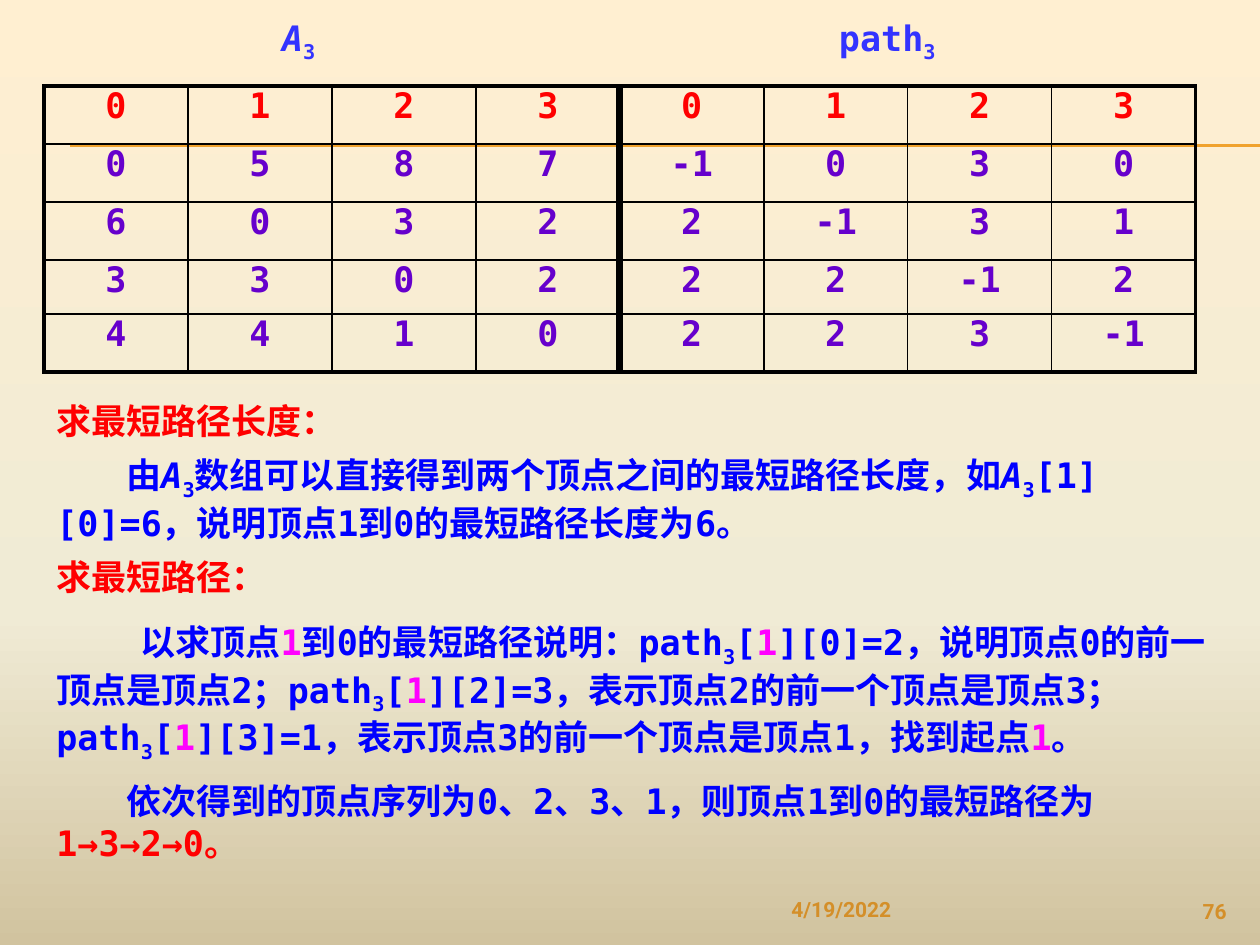
from copy import deepcopy

from lxml import etree
from pptx import Presentation
from pptx.dml.color import RGBColor
from pptx.enum.shapes import MSO_CONNECTOR
from pptx.enum.text import PP_ALIGN
from pptx.oxml.ns import qn
from pptx.util import Pt

STRAIGHT = MSO_CONNECTOR.STRAIGHT
LEFT, CENTER, RIGHT = PP_ALIGN.LEFT, PP_ALIGN.CENTER, PP_ALIGN.RIGHT
PX = 914400 // 126
MONO, FOOTER_FONT = "DejaVu Sans Mono", "Roboto"
RED, BLUE, PINK, PURPLE = "FF0000", "0000FF", "FF00FF", "6600CC"
HEADING, GOLD, AMBER, BLACK = "3333FF", "F0A22E", "D48F29", "000000"
THIN, FRAME, DIVIDER = 1, 2.25, 4.5


def rgb(value):
    return RGBColor.from_string(value)


class Board:
    """Draws styled elements on one slide, with lengths in px."""

    def __init__(self, slide):
        self.slide = slide

    def background(self, stops):
        fill = self.slide.background.fill
        fill.gradient()
        fill.gradient_angle = 270
        stop_list = self.slide.element.find(".//" + qn("a:gsLst"))
        while len(stop_list) < len(stops):
            stop_list.append(deepcopy(stop_list[0]))
        for stop, (position, color) in zip(fill.gradient_stops, stops):
            stop.position = position
            stop.color.rgb = rgb(color)

    def line(self, x1, y1, x2, y2, color, width):
        rule = self.slide.shapes.add_connector(
            STRAIGHT, *(v * PX for v in (x1, y1, x2, y2)))
        rule.line.color.rgb = rgb(color)
        rule.line.width = Pt(width)
        etree.SubElement(rule.element.spPr, qn("a:effectLst"))

    def style(self, paragraph, size=20, font=MONO, align=LEFT):
        paragraph.alignment = align
        paragraph.font.name = font
        paragraph.font.size = Pt(size)
        paragraph.font.bold = True

    def add_runs(self, paragraph, runs, base_color):
        for text, mark in runs:
            run = paragraph.add_run()
            run.text = text
            run.font.color.rgb = rgb(mark if mark in (RED, PINK) else base_color)
            if mark == "italic":
                run.font.italic = True
            elif mark == "sub":
                run.font._element.set("baseline", "-25000")

    def text(self, box, paragraphs, inset=True, **style):
        frame = self.slide.shapes.add_textbox(*(v * PX for v in box)).text_frame
        frame.word_wrap = True
        if not inset:
            frame.margin_left = frame.margin_right = 0
            frame.margin_top = frame.margin_bottom = 0
        for i, (runs, color, indent, before) in enumerate(paragraphs):
            paragraph = frame.add_paragraph() if i else frame.paragraphs[0]
            if indent:
                properties = paragraph._p.get_or_add_pPr()
                properties.set("marL", "0")
                properties.set("indent", str(indent * PX))
            if before:
                paragraph.space_before = Pt(before)
            self.style(paragraph, **style)
            self.add_runs(paragraph, runs, color)

    def border(self, cell, widths):
        properties = cell._tc.get_or_add_tcPr()
        for side, width in zip("LRTB", widths):
            edge = etree.SubElement(properties, qn("a:ln" + side), w=str(Pt(width)))
            fill = etree.SubElement(edge, qn("a:solidFill"))
            etree.SubElement(fill, qn("a:srgbClr"), val=BLACK)

    def table(self, left, top, column_width, row_heights, rows, divider):
        row_count, column_count = len(rows), len(rows[0])
        table = self.slide.shapes.add_table(
            row_count, column_count, left * PX, top * PX,
            column_width * column_count * PX, sum(row_heights) * PX).table
        table.first_row = table.horz_banding = False
        for column in table.columns:
            column.width = column_width * PX
        vertical = {0: FRAME, divider: DIVIDER, column_count: FRAME}
        horizontal = {0: FRAME, row_count: FRAME}
        for r, values in enumerate(rows):
            table.rows[r].height = row_heights[r] * PX
            for c, value in enumerate(values):
                cell = table.cell(r, c)
                cell.margin_left = cell.margin_right = 0
                cell.margin_top = cell.margin_bottom = 0
                self.border(cell, (vertical.get(c, THIN), vertical.get(c + 1, THIN),
                                   horizontal.get(r, THIN), horizontal.get(r + 1, THIN)))
                cell.fill.background()
                paragraph = cell.text_frame.paragraphs[0]
                self.style(paragraph, align=CENTER)
                self.add_runs(paragraph, [(str(value), "")], PURPLE if r else RED)


def path_entry(target):
    return [("path", ""), ("3", "sub"), ("[", ""), ("1", PINK), (target, "")]


def main():
    deck = Presentation()
    deck.slide_width, deck.slide_height = 1260 * PX, 945 * PX
    board = Board(deck.slides.add_slide(deck.slide_layouts[6]))
    board.background([(0, "FFEFD1"), (0.65, "F0EBD5"), (1, "D1C39F")])
    for y in (145, 146):
        board.line(70, y, 1260, y, GOLD, 0.75)

    a3 = [("A", "italic"), ("3", "sub")]
    length_text = [("由", ""), *a3,
                   ("数组可以直接得到两个顶点之间的最短路径长度，如", ""), *a3,
                   ("[1][0]=6，说明顶点1到0的最短路径长度为6。", "")]
    route_text = [("以求顶点", ""), ("1", PINK), ("到0的最短路径说明：", ""),
                  *path_entry("][0]=2，说明顶点0的前一顶点是顶点2；"),
                  *path_entry("][2]=3，表示顶点2的前一个顶点是顶点3；"),
                  *path_entry("][3]=1，表示顶点3的前一个顶点是顶点1，找到起点"),
                  ("1", PINK), ("。", "")]
    sequence_text = [("依次得到的顶点序列为0、2、3、1，则顶点1到0的最短路径为", ""),
                     ("1→3→2→0。", RED)]
    board.text((44, 393, 1201, 460), [
        ([("求最短路径长度：", "")], RED, 0, 0),
        (length_text, BLUE, 70, 7),
        ([("求最短路径：", "")], RED, 0, 7),
        (route_text, BLUE, 84, 13),
        (sequence_text, BLUE, 70, 9)])

    distances = [[0, 5, 8, 7], [6, 0, 3, 2], [3, 3, 0, 2], [4, 4, 1, 0]]
    predecessors = [[-1, 0, 3, 0], [2, -1, 3, 1], [2, 2, -1, 2], [2, 2, 3, -1]]
    vertices = list(range(4))
    rows = [vertices * 2] + [d + p for d, p in zip(distances, predecessors)]
    board.table(44, 86, 144, [58, 58, 58, 54, 58], rows, len(vertices))

    board.text((282, 16, 79, 43), [(a3, HEADING, 0, 0)], inset=False)
    board.text((839, 16, 118, 43), [([("path", ""), ("3", "sub")], HEADING, 0, 0)],
               inset=False)
    board.text((779, 890, 347, 40), [([("4/19/2022", "")], AMBER, 0, 0)],
               size=12, font=FOOTER_FONT)
    board.text((1134, 892, 105, 34), [([("76", "")], AMBER, 0, 0)],
               size=12, font=FOOTER_FONT, align=RIGHT)
    deck.save("out.pptx")


if __name__ == "__main__":
    main()
